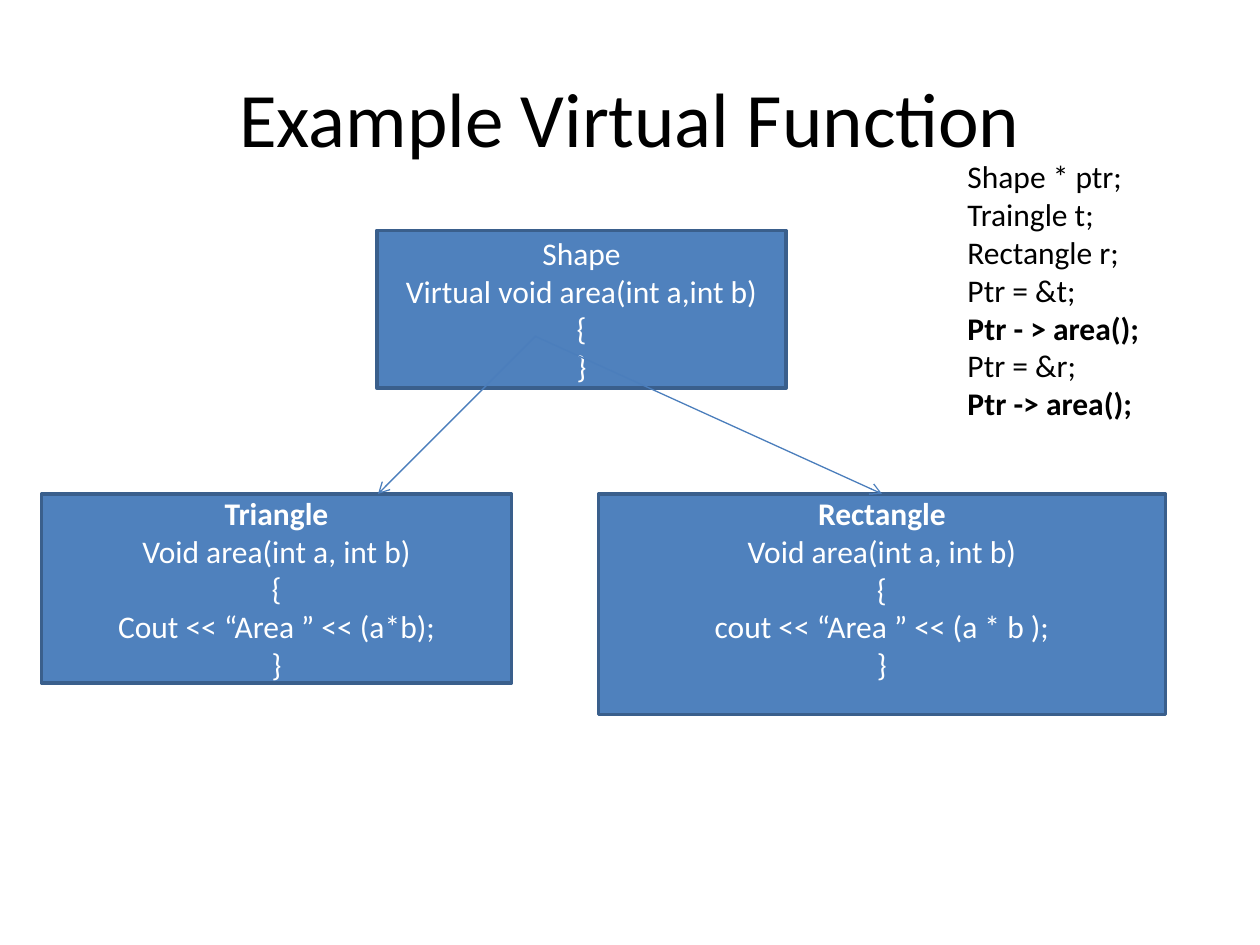
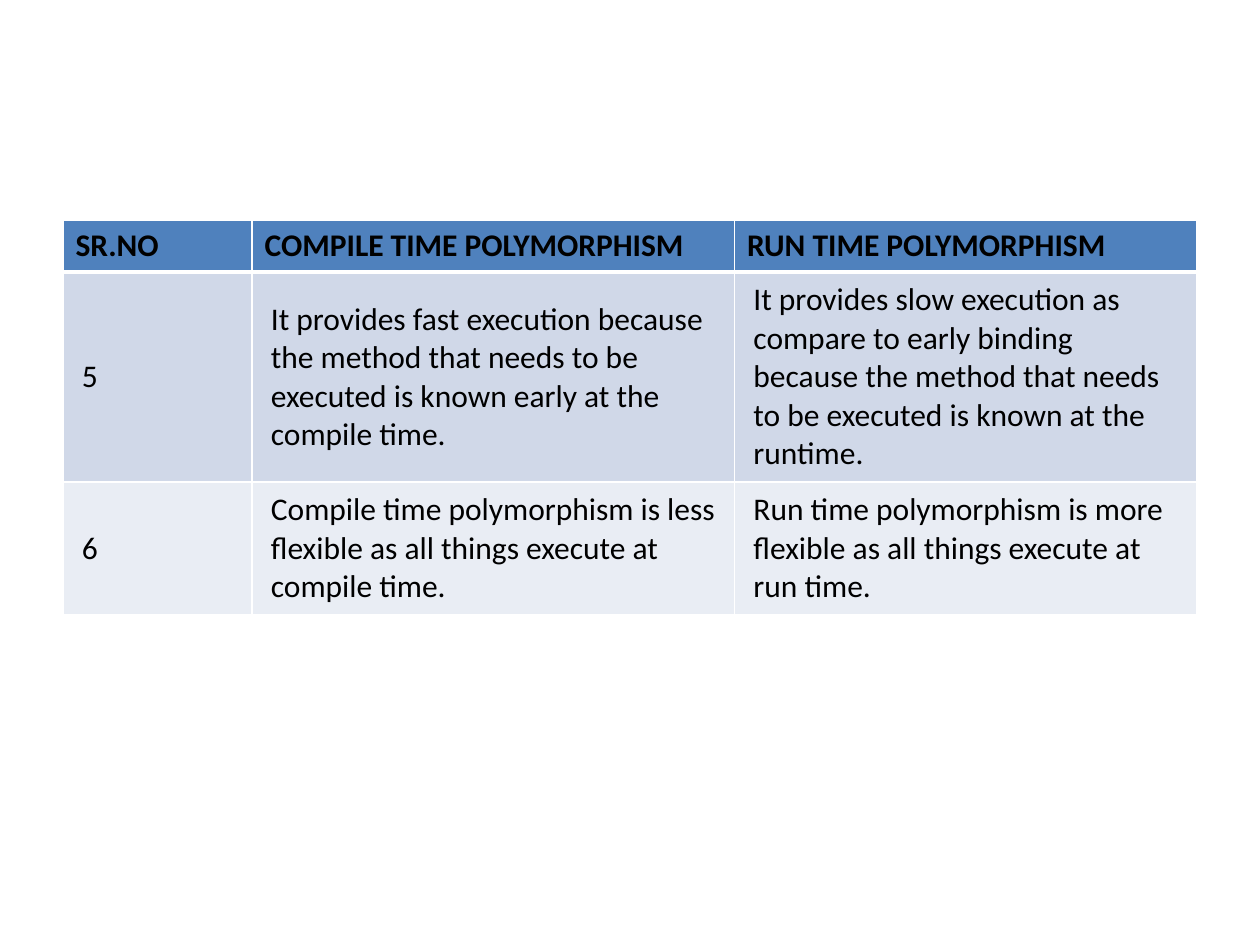
from pptx import Presentation
from pptx.dml.color import RGBColor
from pptx.enum.shapes import MSO_CONNECTOR, MSO_SHAPE
from pptx.enum.text import MSO_ANCHOR, PP_ALIGN
from pptx.oxml.ns import qn
from pptx.util import Inches, Pt
from lxml import etree

RECT = MSO_SHAPE.RECTANGLE
STRAIGHT = MSO_CONNECTOR.STRAIGHT
TOP, MIDDLE = MSO_ANCHOR.TOP, MSO_ANCHOR.MIDDLE
LEFT, CENTER = PP_ALIGN.LEFT, PP_ALIGN.CENTER

FONT = "Calibri"
BLACK = RGBColor(0x00, 0x00, 0x00)
WHITE = RGBColor(0xFF, 0xFF, 0xFF)
BLUE = RGBColor(0x4F, 0x81, 0xBD)
EDGE = RGBColor(0x3A, 0x5F, 0x8C)
ARROW = RGBColor(0x4B, 0x7E, 0xBC)
BANDS = [RGBColor(0xD0, 0xD8, 0xE8), RGBColor(0xE9, 0xED, 0xF4)]

CODE = ["Shape * ptr;", "Traingle t;", "Rectangle r;", "Ptr = &t;",
        "Ptr - > area();", "Ptr = &r;", "Ptr -> area();"]
CALLS = ["Ptr - > area();", "Ptr -> area();"]

ROWS = [
    ["SR.NO", "COMPILE TIME POLYMORPHISM", "RUN TIME POLYMORPHISM"],
    ["5",
     "It provides fast execution because the method that needs to be "
     "executed is known early at the compile time.",
     "It provides slow execution as compare to early binding because the "
     "method that needs to be executed is known at the runtime."],
    ["6",
     "Compile time polymorphism is less flexible as all things execute at "
     "compile time.",
     "Run time polymorphism is more flexible as all things execute at "
     "run time."],
]


def style(para, color, size=18, bold=False, align=LEFT):
    para.alignment = align
    font = para.font
    font.name, font.size, font.bold = FONT, Pt(size), bold
    font.color.rgb = color


def write(frame, lines, color, strong=(), align=LEFT):
    frame.word_wrap = True
    frame.text = "\n".join(lines)
    for para in frame.paragraphs:
        style(para, color, bold=para.text in strong, align=align)


def add_title(slide, text):
    title = slide.shapes.title
    title.left, title.top = Inches(0.5), Inches(0.3)
    title.width, title.height = Inches(9), Inches(1.25)
    title.text = text
    style(title.text_frame.paragraphs[0], BLACK, 44, align=CENTER)


def add_class(slide, place, lines, strong=(), anchor=MIDDLE):
    box = slide.shapes.add_shape(RECT, *map(Inches, place))
    box.shadow.inherit = False
    box.fill.solid()
    box.fill.fore_color.rgb = BLUE
    box.line.color.rgb = EDGE
    box.line.width = Pt(2)
    frame = box.text_frame
    frame.vertical_anchor = anchor
    if anchor == TOP:
        frame.margin_top = 0
    write(frame, lines, WHITE, strong, CENTER)


def add_arrow(slide, start, end):
    link = slide.shapes.add_connector(STRAIGHT, *map(Inches, start + end))
    link.line.color.rgb = ARROW
    link.line.width = Pt(0.75)
    etree.SubElement(link.line._get_or_add_ln(), qn("a:tailEnd"), type="arrow")
    etree.SubElement(link._element.spPr, qn("a:effectLst"))


def add_code(slide, place, lines, strong):
    box = slide.shapes.add_textbox(*map(Inches, place))
    write(box.text_frame, lines, BLACK, strong)


def add_borders(cell, widths):
    props = cell._tc.get_or_add_tcPr()
    for side, width in widths.items():
        line = etree.SubElement(props, qn("a:ln" + side), w=str(Pt(width)))
        fill = etree.SubElement(line, qn("a:solidFill"))
        etree.SubElement(fill, qn("a:srgbClr"), val=str(WHITE))


def fill_cell(cell, text, row):
    head = row == 0
    add_borders(cell, {"L": 1, "R": 1, "T": 3 if row == 1 else 1,
                       "B": 3 if head else 1})
    cell.fill.solid()
    cell.fill.fore_color.rgb = BLUE if head else BANDS[(row - 1) % 2]
    if not head:
        cell.vertical_anchor = MIDDLE
        cell.margin_left = cell.margin_right = Inches(0.15)
        cell.margin_top = cell.margin_bottom = Inches(0.07)
    cell.text = text
    style(cell.text_frame.paragraphs[0], BLACK, bold=head)


def add_grid(slide, place, rows, widths, heights):
    grid = slide.shapes.add_table(len(rows), len(widths),
                                  *map(Inches, place)).table
    for col, width in zip(grid.columns, widths):
        col.width = Inches(width)
    for line, height in zip(grid.rows, heights):
        line.height = Inches(height)
    for row, texts in enumerate(rows):
        for col, text in enumerate(texts):
            fill_cell(grid.cell(row, col), text, row)


def draw_classes(slide):
    add_title(slide, "Example Virtual Function")
    add_class(slide, (2.99, 1.83, 3.25, 1.25),
              ["Shape", "Virtual void area(int a,int b)", "{", "}"])
    add_class(slide, (0.33, 3.92, 3.73, 1.5),
              ["Triangle", "Void area(int a, int b)", "{",
               "Cout << “Area ” << (a*b);", "}"], ["Triangle"])
    add_class(slide, (4.75, 3.92, 4.5, 1.75),
              ["Rectangle", "Void area(int a, int b)", "{",
               "cout << “Area ” << (a * b );", "}"], ["Rectangle"], TOP)
    for end in (3, 7):
        add_arrow(slide, (4.25, 2.67), (end, 3.92))
    add_code(slide, (7.58, 1.2, 2.2, 2.52), CODE, CALLS)


def main():
    deck = Presentation()
    deck.slide_width, deck.slide_height = Inches(10), Inches(7.5)
    draw_classes(deck.slides.add_slide(deck.slide_layouts[5]))
    add_grid(deck.slides.add_slide(deck.slide_layouts[6]),
             (0.5, 1.75, 9, 3.1), ROWS, (1.5, 3.83, 3.67), (0.41, 1.65, 1.04))
    deck.save("out.pptx")


if __name__ == "__main__":
    main()
